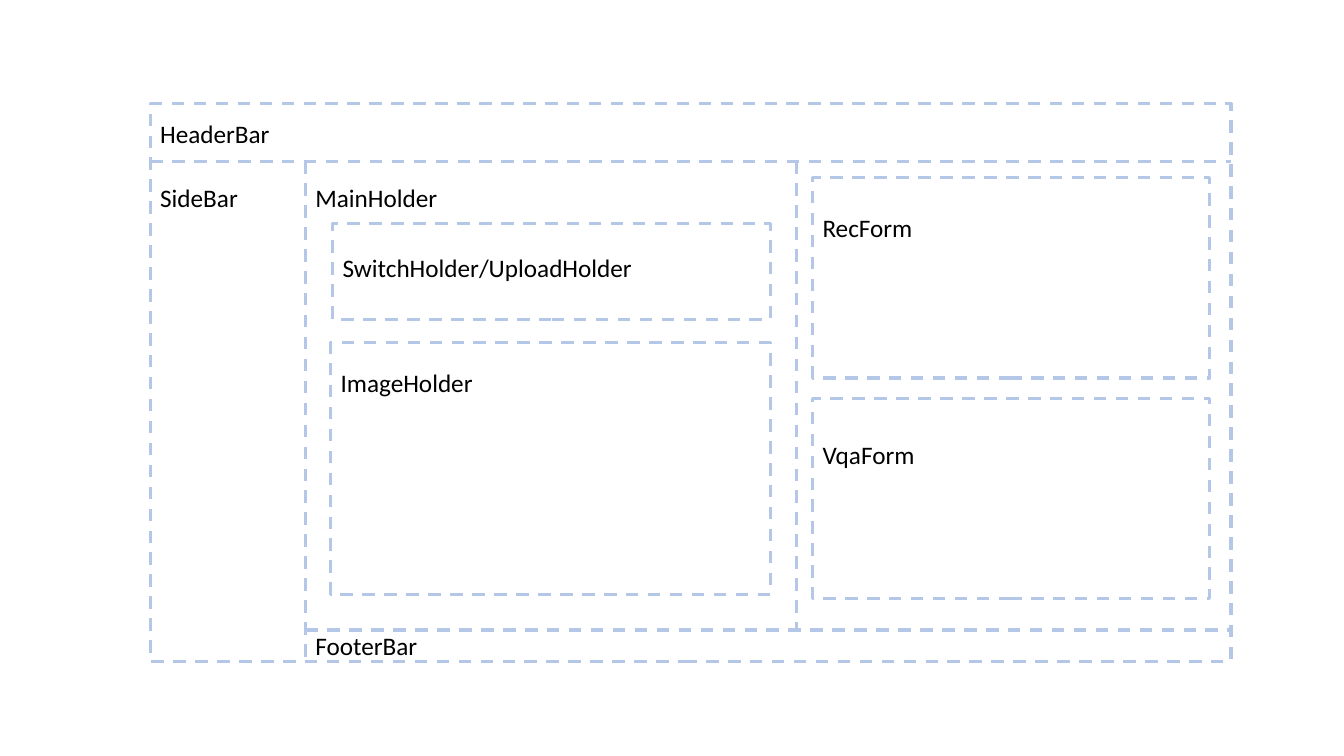
from lxml import etree
from pptx import Presentation
from pptx.dml.color import RGBColor
from pptx.enum.dml import MSO_LINE
from pptx.enum.shapes import MSO_CONNECTOR, MSO_SHAPE
from pptx.enum.text import MSO_AUTO_SIZE
from pptx.oxml.ns import qn
from pptx.util import Inches, Pt

DASH = MSO_LINE.DASH
STRAIGHT = MSO_CONNECTOR.STRAIGHT
RECTANGLE = MSO_SHAPE.RECTANGLE
FIT_TEXT = MSO_AUTO_SIZE.SHAPE_TO_FIT_TEXT
PALE_BLUE = RGBColor(0xB4, 0xC7, 0xE7)
BLACK = RGBColor(0, 0, 0)

# Edges of the page layout, in inches
LEFT, RIGHT, TOP, BOTTOM = 1.49, 12.21, 1.03, 6.56
HEADER_BASE, FOOTER_TOP = 1.6, 6.25
SIDEBAR_EDGE, MAIN_EDGE = 3.03, 7.9
FORM_LEFT, FORM_WIDTH, FORM_HEIGHT = 8.06, 3.94, 1.99
SWITCH_LEFT, IMAGE_LEFT = 3.3, 3.28


def style_line(line):
    """Give an outline or divider the dashed pale blue stroke."""
    line.color.rgb = PALE_BLUE
    line.width = Pt(2.25)
    line.dash_style = DASH


deck = Presentation()
deck.slide_width, deck.slide_height = Inches(13.33), Inches(7.5)
page = deck.slides.add_slide(deck.slide_layouts[6])

frames = [
    (LEFT, TOP, RIGHT - LEFT, BOTTOM - TOP),  # whole page
    (IMAGE_LEFT, 3.4, 4.36, 2.5),  # ImageHolder
    (FORM_LEFT, 1.76, FORM_WIDTH, FORM_HEIGHT),  # RecForm
    (FORM_LEFT, 3.95, FORM_WIDTH, FORM_HEIGHT),  # VqaForm
    (SWITCH_LEFT, 2.22, 4.34, 0.95),  # SwitchHolder
]
for bounds in frames:
    frame = page.shapes.add_shape(RECTANGLE, *map(Inches, bounds))
    frame.shadow.inherit = False
    frame.fill.background()
    style_line(frame.line)

dividers = [
    (LEFT, HEADER_BASE, RIGHT, HEADER_BASE),
    (SIDEBAR_EDGE, HEADER_BASE, SIDEBAR_EDGE, BOTTOM),
    (SIDEBAR_EDGE, FOOTER_TOP, RIGHT, FOOTER_TOP),
    (MAIN_EDGE, HEADER_BASE, MAIN_EDGE, FOOTER_TOP),
]
for ends in dividers:
    divider = page.shapes.add_connector(STRAIGHT, *map(Inches, ends))
    style_line(divider.line)
    etree.SubElement(divider._element.spPr, qn("a:effectLst"))

labels = [
    ("HeaderBar", LEFT, 1.12, 1.54),
    ("SideBar", LEFT, 1.76, 0.99),
    ("MainHolder", SIDEBAR_EDGE, 1.76, 1.54),
    ("FooterBar", SIDEBAR_EDGE, 6.2, 1.54),
    ("SwitchHolder/UploadHolder", SWITCH_LEFT, 2.45, 3.24),
    ("ImageHolder", IMAGE_LEFT, 3.59, 1.63),
    ("RecForm", FORM_LEFT, 2.06, 1.63),
    ("VqaForm", FORM_LEFT, 4.31, 1.63),
]
for wording, left, top, width in labels:
    box = page.shapes.add_textbox(*map(Inches, (left, top, width, 0.4)))
    box.text_frame.word_wrap = True
    box.text_frame.auto_size = FIT_TEXT
    span = box.text_frame.paragraphs[0].add_run()
    span.text = wording
    span.font.name = "Calibri"
    span.font.size = Pt(18)
    span.font.color.rgb = BLACK

deck.save("out.pptx")
